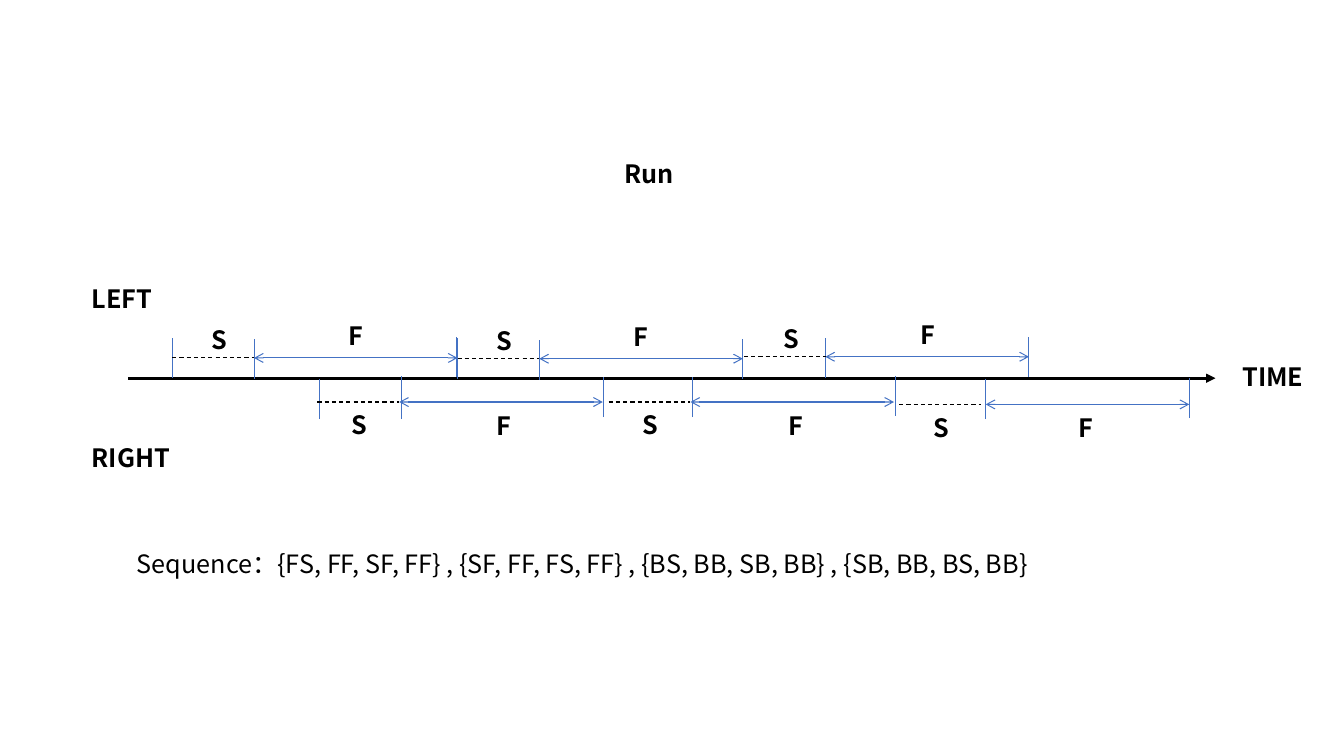
"""Build the slide showing the left and right foot timing of a run."""
from dataclasses import dataclass

from lxml.etree import SubElement
from pptx import Presentation
from pptx.dml.color import RGBColor
from pptx.enum.dml import MSO_LINE_DASH_STYLE as Dash
from pptx.enum.shapes import MSO_CONNECTOR as Connector
from pptx.enum.text import MSO_AUTO_SIZE as AutoSize
from pptx.oxml.ns import qn
from pptx.slide import Slide
from pptx.util import Cm, Pt

COLORS = {"ink": "000000", "mark": "4472C4"}
FONT = "Noto Sans CJK SC"
AXIS_Y = 9.53
TICK_HEIGHT = 1.01
STANCE_LENGTH = 2.06
SWING_LENGTH = 5.13
LABEL_WIDTH = 0.79


@dataclass(frozen=True)
class Step:
    """A dashed stance and the swing after it, in centimetres."""
    stance_x: float
    swing_x: float
    y: float


@dataclass(frozen=True)
class Tick:
    """A short vertical mark on the time axis."""
    x: float
    top: float


@dataclass(frozen=True)
class Foot:
    """One foot's steps, ticks and label offsets from each stance start."""
    steps: tuple[Step, ...]
    ticks: tuple[Tick, ...]
    stance_label: tuple[float, float]
    swing_label: tuple[float, float]


@dataclass(frozen=True)
class Caption:
    """A free-standing text with its position and width."""
    text: str
    left: float
    top: float
    width: float
    bold: bool = True


FEET = (
    Foot(
        steps=(Step(4.34, 6.4, 9.02), Step(11.53, 13.59, 9.04), Step(18.75, 20.8, 8.99)),
        ticks=(Tick(4.34, 8.51), Tick(6.4, 8.53), Tick(11.51, 8.5),
               Tick(11.53, 8.51), Tick(11.53, 8.53), Tick(13.59, 8.56),
               Tick(18.72, 8.53), Tick(20.8, 8.51), Tick(25.91, 8.48)),
        stance_label=(0.74, -0.97),
        swing_label=(4.19, -1.07),
    ),
    Foot(
        steps=(Step(8.0, 10.06, 10.13), Step(15.34, 17.4, 10.13), Step(22.66, 24.84, 10.19)),
        ticks=(Tick(8.05, 9.55), Tick(10.11, 9.55), Tick(10.11, 9.47),
               Tick(15.21, 9.5), Tick(17.45, 9.5), Tick(22.56, 9.47),
               Tick(24.84, 9.55), Tick(29.97, 9.53)),
        stance_label=(0.61, 0.07),
        swing_label=(4.27, 0.08),
    ),
)

CAPTIONS = (
    Caption("Run", 15.49, 3.86, 2.01),
    Caption("LEFT", 2.06, 7.01, 2.29),
    Caption("RIGHT", 2.06, 11.02, 3.02),
    Caption("TIME", 31.06, 8.97, 2.18),
    Caption("Sequence：{FS, FF, SF, FF} , {SF, FF, FS, FF} , "
            "{BS, BB, SB, BB} , {SB, BB, BS, BB}", 3.2, 13.69, 27.41, bold=False),
)


def add_text(page: Slide, text: str, *, left: float, top: float,
             width: float = LABEL_WIDTH, bold: bool = True) -> None:
    """Add a line of text at the given position."""
    box = page.shapes.add_textbox(Cm(left), Cm(top), Cm(width), Cm(1.03))
    frame = box.text_frame
    frame.word_wrap = True
    frame.auto_size = AutoSize.SHAPE_TO_FIT_TEXT
    span = frame.paragraphs[0].add_run()
    span.text = text
    span.font.name = FONT
    span.font.size = Pt(18)
    span.font.bold = bold
    span.font.color.rgb = RGBColor.from_string(COLORS["ink"])
    SubElement(span.font._element, qn("a:ea"), typeface=FONT)


def add_line(page: Slide, start: tuple[float, float], end: tuple[float, float], *,
             color: str, weight: float, dashed: bool = False,
             head: str = "", tail: str = "") -> None:
    """Add a straight line, with optional dashes and arrowheads."""
    line = page.shapes.add_connector(Connector.STRAIGHT, *map(Cm, start + end))
    line.line.color.rgb = RGBColor.from_string(COLORS[color])
    line.line.width = Pt(weight)
    if dashed:
        line.line.dash_style = Dash.DASH
    outline = line.line._get_or_add_ln()
    for tag, arrow in (("a:headEnd", head), ("a:tailEnd", tail)):
        if arrow:
            SubElement(outline, qn(tag), type=arrow)
    SubElement(line._element.spPr, qn("a:effectLst"))


def add_foot(page: Slide, foot: Foot) -> None:
    """Draw the ticks, phases and labels of one foot."""
    for tick in foot.ticks:
        add_line(page, (tick.x, tick.top + TICK_HEIGHT), (tick.x, tick.top),
                 color="mark", weight=0.5)
    for step in foot.steps:
        add_line(page, (step.swing_x, step.y), (step.swing_x + SWING_LENGTH, step.y),
                 color="mark", weight=0.75, head="arrow", tail="arrow")
        add_line(page, (step.stance_x, step.y), (step.stance_x + STANCE_LENGTH, step.y),
                 color="ink", weight=0.75, dashed=True)
        for text, (across, down) in (("S", foot.stance_label), ("F", foot.swing_label)):
            add_text(page, text, left=step.stance_x + across, top=step.y + down)


def main() -> None:
    """Build and save the deck."""
    deck = Presentation()
    deck.slide_width, deck.slide_height = Cm(33.87), Cm(19.05)
    page = deck.slides.add_slide(deck.slide_layouts[6])
    add_line(page, (3.23, AXIS_Y), (30.63, AXIS_Y), color="ink", weight=2.25, tail="triangle")
    for foot in FEET:
        add_foot(page, foot)
    for caption in CAPTIONS:
        add_text(page, caption.text, left=caption.left, top=caption.top,
                 width=caption.width, bold=caption.bold)
    deck.save("out.pptx")


if __name__ == "__main__":
    main()
